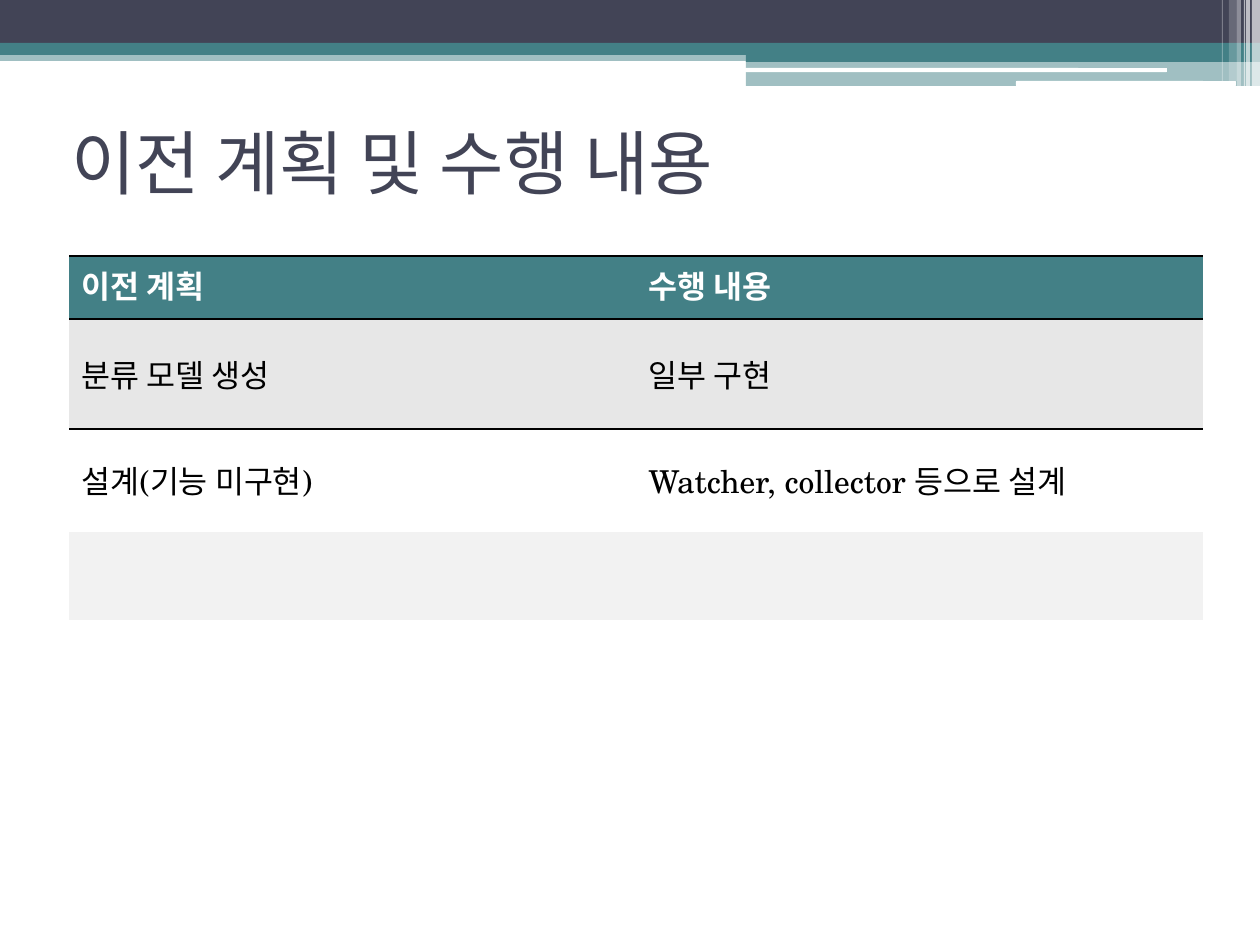
from lxml import etree
from pptx import Presentation, util as u
from pptx.dml import color
from pptx.enum import shapes, text
from pptx.oxml import ns

SCALE = 914400 // 126
NAVY, TEAL, WHITE, BLACK = "424456", "438086", "FFFFFF", "000000"
NO_GRID = "{2D5ABB26-0587-4C30-8999-92F81FD0307C}"
BARS = [
    (0, 50, 1260, 11, TEAL, 50),
    (0, 0, 1260, 43, NAVY, 100),
    (0, 43, 1260, 12, TEAL, 100),
    (746, 49, 514, 13, TEAL, 100),
    (746, 61, 514, 25, TEAL, 50),
]
SLITS = [(745, 68, 422, 4), (1016, 81, 220, 5)]
STRIPES = [
    (1252, 8, 86, 65),
    (1246, 4, 86, 65),
    (1244, 1, 86, 60),
    (1237, 4, 86, 40),
    (1229, 8, 81, 20),
    (1222, 1, 81, 30),
]
ROWS = [
    ("이전 계획", "수행 내용"),
    ("분류 모델 생성", "일부 구현"),
    ("설계(기능 미구현)", "Watcher, collector 등으로 설계"),
    ("", ""),
]
ROW_HEIGHTS = [63, 110, 103, 88]
ROW_FILLS = [TEAL, "E7E7E7", WHITE, "F2F2F2"]


def px(length):
    """Turn px into EMU."""
    return u.Emu(length * SCALE)


def paint(target, value):
    """Give a fill a solid hex colour."""
    target.solid()
    target.fore_color.rgb = color.RGBColor.from_string(value)


def write(frame, words, size=18, font="TeX Gyre Schola", ink=BLACK, bold=False):
    """Write one formatted run into a text frame."""
    span = frame.paragraphs[0].add_run()
    span.text = words
    span.font.size = u.Pt(size)
    span.font.name = font
    span.font.bold = bold
    span.font.color.rgb = color.RGBColor.from_string(ink)


def add_bar(page, box, fill, opacity=100, kind=shapes.MSO_SHAPE.RECTANGLE):
    """Add a borderless bar with the given opacity in percent."""
    bar = page.shapes.add_shape(kind, *map(px, box))
    bar.shadow.inherit = False
    bar.line.fill.background()
    paint(bar.fill, fill)
    if opacity < 100:
        tint = bar.fill._xPr.find(".//" + ns.qn("a:srgbClr"))
        etree.SubElement(tint, ns.qn("a:alpha"), val=str(opacity * 1000))


def add_banner(page, left, top):
    """Draw the layered bars, slits and stripes of the banner."""
    for x, y, width, height, fill, opacity in BARS:
        add_bar(page, (left + x, top + y, width, height), fill, opacity)
    for x, y, width, height in SLITS:
        add_bar(page, (left + x, top + y, width, height), WHITE,
                kind=shapes.MSO_SHAPE.ROUNDED_RECTANGLE)
    for x, width, height, opacity in STRIPES:
        add_bar(page, (left + x, top, width, height), WHITE, opacity)


def add_title(page, box, words):
    """Place the slide title, centred vertically in its box."""
    frame = page.shapes.add_textbox(*map(px, box)).text_frame
    frame.word_wrap = True
    frame.vertical_anchor = text.MSO_ANCHOR.MIDDLE
    write(frame, words, size=40, font="Karla", ink=NAVY)


def rule_cell(cell, sides):
    """Draw thin black borders on the named sides of a cell."""
    properties = cell._tc.get_or_add_tcPr()
    for place, side in enumerate(sides):
        line = etree.Element(ns.qn("a:ln" + side), w=str(u.Pt(0.96)))
        fill = etree.SubElement(line, ns.qn("a:solidFill"))
        etree.SubElement(fill, ns.qn("a:srgbClr"), val=BLACK)
        properties.insert(place, line)


def add_plan_table(page, left, top, width):
    """Build the table of earlier plans and the work done."""
    box = (left, top, width, sum(ROW_HEIGHTS))
    table = page.shapes.add_table(len(ROWS), 2, *map(px, box)).table
    table._tbl.tblPr.find(ns.qn("a:tableStyleId")).text = NO_GRID
    table.horz_banding = False
    for column in table.columns:
        column.width = px(width // 2)
    for index, words in enumerate(ROWS):
        header = index == 0
        table.rows[index].height = px(ROW_HEIGHTS[index])
        for cell, label in zip(table.rows[index].cells, words):
            paint(cell.fill, ROW_FILLS[index])
            cell.vertical_anchor = text.MSO_ANCHOR.TOP if header else text.MSO_ANCHOR.MIDDLE
            if label:
                write(cell.text_frame, label, ink=WHITE if header else BLACK, bold=header)
            if header:
                rule_cell(cell, "TB")
            elif index == 1:
                rule_cell(cell, "T")


def main():
    """Build and save the deck."""
    deck = Presentation()
    deck.slide_width, deck.slide_height = px(1260), px(945)
    page = deck.slides.add_slide(deck.slide_layouts[6])
    add_banner(page, 0, 0)
    add_title(page, (59, 88, 1134, 147), "이전 계획 및 수행 내용")
    add_plan_table(page, 69, 256, 1134)
    deck.save("out.pptx")


if __name__ == "__main__":
    main()
